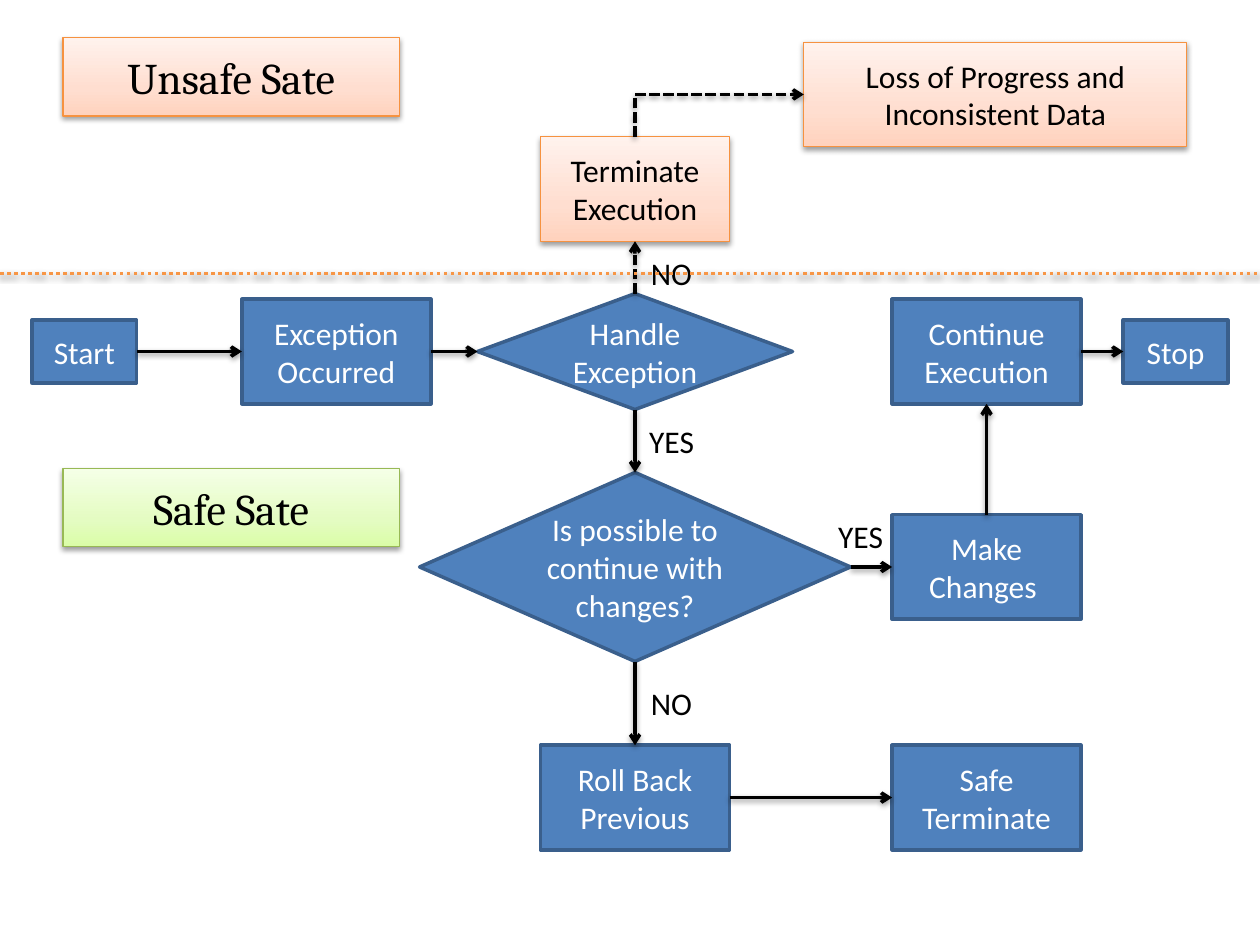
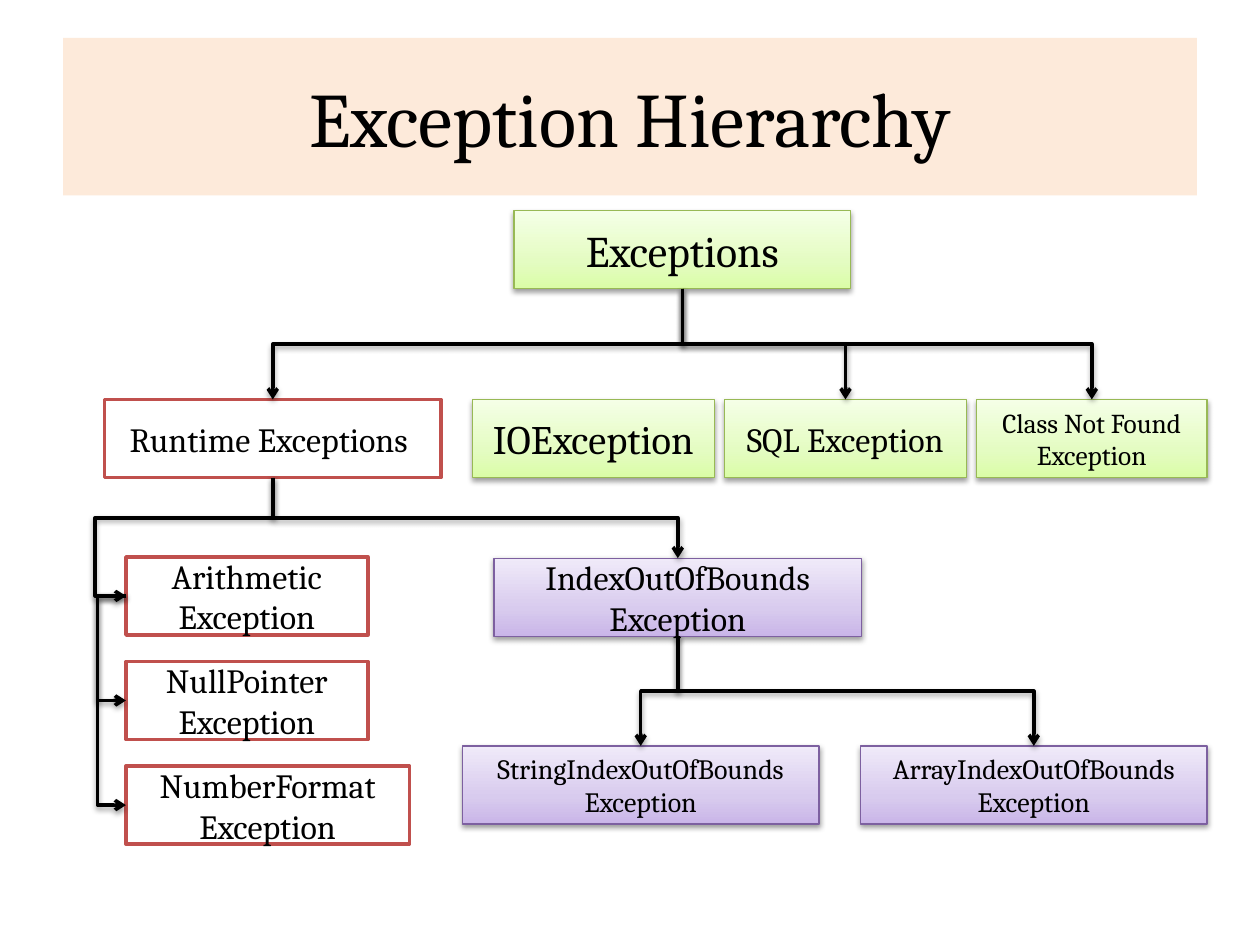
from lxml.etree import SubElement
from pptx import Presentation
from pptx.dml.color import RGBColor
from pptx.enum.dml import MSO_LINE
from pptx.enum.shapes import MSO_CONNECTOR, MSO_SHAPE
from pptx.enum.text import MSO_ANCHOR, MSO_AUTO_SIZE, PP_ALIGN
from pptx.oxml.ns import qn
from pptx.util import Emu, Inches, Pt

COLORS = {
    "black": "000000", "white": "FFFFFF", "title_band": "FDEADA",
    "blue": "4F81BD", "blue_line": "3A5F8C", "red_line": "C0504D",
    "orange_line": "F69240", "divider": "F79646",
    "green_line": "98B955", "purple_line": "7D60A0",
    "orange_dark": "FFD2BD", "orange_mid": "FFDED0", "orange_light": "FFF2ED",
    "green_dark": "DAFDA7", "green_mid": "E4FCC2", "green_light": "F5FFE7",
    "purple_dark": "C9B5E8", "purple_mid": "D8CBEE", "purple_light": "F0EAF9",
}
SOLID_STYLES = {
    "blue": ("blue", "blue_line", "white"),
    "red": ("white", "red_line", "black"),
}
TOP, LEFT, BOTTOM, RIGHT = range(4)
LABEL_SIZE = (2.67, 0.62)
STEP_SIZE = (1.5, 0.83)
END_SIZE = (0.83, 0.5)
MIN_EXTENT = 1588


def rgb(name):
    return RGBColor.from_string(COLORS[name])


def add_shadow(effects):
    shadow = SubElement(effects, qn("a:outerShdw"), blurRad="40000", dist="20000",
                        dir="5400000", rotWithShape="0")
    color = SubElement(shadow, qn("a:srgbClr"), val=COLORS["black"])
    SubElement(color, qn("a:alpha"), val="38000")


def paint_gradient(shape, family):
    shape.fill.gradient()
    shape.fill.gradient_angle = 90
    stops = next(shape._element.spPr.iter(qn("a:gsLst")))
    stops.clear()
    for position, tone in ((0, "dark"), (35, "mid"), (100, "light")):
        stop = SubElement(stops, qn("a:gs"), pos=str(position * 1000))
        SubElement(stop, qn("a:srgbClr"), val=COLORS[f"{family}_{tone}"])
    shape.line.color.rgb = rgb(f"{family}_line")
    shape.line.width = Pt(0.75)
    shape.shadow.inherit = False
    add_shadow(shape._element.spPr.find(qn("a:effectLst")))


def write_text(shape, text, font_name, size, color="black"):
    frame = shape.text_frame
    frame.text = text
    frame.word_wrap = True
    frame.auto_size = MSO_AUTO_SIZE.NONE
    frame.vertical_anchor = MSO_ANCHOR.MIDDLE
    paragraph = frame.paragraphs[0]
    paragraph.alignment = PP_ALIGN.CENTER
    paragraph.font.name = font_name
    paragraph.font.size = Pt(size)
    paragraph.font.color.rgb = rgb(color)


def place_title(slide, text, size, width, height):
    title = slide.shapes.title
    title.left, title.top = Inches(0.5), Inches(0.3)
    title.width, title.height = Inches(width), Inches(height)
    write_text(title, text, "Cambria", size)
    return title


def add_box(slide, text, left, top, size, style, font_size,
            font_name="Cambria", preset=MSO_SHAPE.RECTANGLE):
    box = slide.shapes.add_shape(preset, Inches(left), Inches(top),
                                 Inches(size[0]), Inches(size[1]))
    text_color = "black"
    if style in SOLID_STYLES:
        fill, line, text_color = SOLID_STYLES[style]
        box.fill.solid()
        box.fill.fore_color.rgb = rgb(fill)
        box.line.color.rgb = rgb(line)
        box.line.width = Pt(2)
        box.shadow.inherit = False
    else:
        paint_gradient(box, style)
    write_text(box, text, font_name, font_size, text_color)
    return box


def add_step(slide, text, center, size=STEP_SIZE, style="blue", preset=MSO_SHAPE.RECTANGLE):
    left, top = center[0] - size[0] / 2, center[1] - size[1] / 2
    return add_box(slide, text, left, top, size, style, 18, "Calibri", preset)


def add_branch_label(slide, text, center_x, center_y):
    width, height = END_SIZE
    label = slide.shapes.add_textbox(Inches(center_x - width / 2), Inches(center_y - height / 2),
                                     Inches(width), Inches(height))
    write_text(label, text, "Calibri", 18)


def style_line(connector, color="black", dash=None, arrow=True):
    connector.line.color.rgb = rgb(color)
    connector.line.width = Pt(2)
    if dash:
        connector.line.dash_style = dash
    properties = connector._element.spPr
    if arrow:
        SubElement(properties.find(qn("a:ln")), qn("a:tailEnd"), type="arrow")
    add_shadow(SubElement(properties, qn("a:effectLst")))


def join(slide, kind, start, start_side, end, end_side, dash=None):
    connector = slide.shapes.add_connector(kind, 0, 0, 0, 0)
    connector.begin_connect(start, start_side)
    connector.end_connect(end, end_side)
    style_line(connector, dash=dash)
    return connector


def add_arrow(slide, start, start_side, end, end_side, dash=None):
    join(slide, MSO_CONNECTOR.STRAIGHT, start, start_side, end, end_side, dash)


def add_elbow(slide, start, start_side, end, end_side, rotation,
              flips=(), guides=(), bends=3, dash=None):
    connector = join(slide, MSO_CONNECTOR.ELBOW, start, start_side, end, end_side, dash)
    width = abs(connector.end_x - connector.begin_x)
    height = abs(connector.end_y - connector.begin_y)
    center_x = (connector.begin_x + connector.end_x) // 2
    center_y = (connector.begin_y + connector.end_y) // 2
    if rotation in (90, 270):
        width, height = height, width
    width = max(width, MIN_EXTENT)
    connector.left, connector.top = Emu(center_x - width // 2), Emu(center_y - height // 2)
    connector.width, connector.height = Emu(width), Emu(height)
    frame = connector._element.spPr.find(qn("a:xfrm"))
    frame.set("rot", str(rotation * 60000))
    for flip in ("flipH", "flipV"):
        frame.set(flip, "1" if flip in flips else "0")
    geometry = connector._element.spPr.find(qn("a:prstGeom"))
    geometry.set("prst", f"bentConnector{bends}")
    adjustments = geometry.find(qn("a:avLst"))
    for number, ratio in enumerate(guides, 1):
        SubElement(adjustments, qn("a:gd"), name=f"adj{number}",
                   fmla=f"val {round(ratio * 100000)}")


def add_tree_branch(slide, parent, child):
    goes_left = child.left + child.width // 2 < parent.left + parent.width // 2
    rotation, flips = (90, ()) if goes_left else (270, ("flipH",))
    add_elbow(slide, parent, BOTTOM, child, TOP, rotation, flips, (0.5,))


def build_flowchart(slide):
    title = place_title(slide, "Unsafe Sate", 25, *LABEL_SIZE)
    paint_gradient(title, "orange")

    upper, middle, lower = 2.79, 4.5, 6.33
    decision_x, right_x = 5.04, 7.83
    start = add_step(slide, "Start", (0.67, upper), END_SIZE)
    occurred = add_step(slide, "Exception Occurred", (2.67, upper))
    terminate = add_step(slide, "Terminate Execution", (decision_x, 1.5), style="orange")
    loss = add_step(slide, "Loss of Progress and Inconsistent Data", (7.9, 0.75),
                    (3.04, 0.83), "orange")
    roll_back = add_step(slide, "Roll Back Previous", (decision_x, lower))
    resume = add_step(slide, "Continue Execution", (right_x, upper))
    safe_end = add_step(slide, "Safe Terminate", (right_x, lower))
    stop = add_step(slide, "Stop", (9.33, upper), END_SIZE)
    handle = add_step(slide, "Handle Exception", (decision_x, upper), (2.5, 0.92),
                      preset=MSO_SHAPE.DIAMOND)
    change = add_step(slide, "Make Changes ", (right_x, middle))
    possible = add_step(slide, "Is possible to continue with changes?",
                        (decision_x, middle), (3.42, 1.5), preset=MSO_SHAPE.DIAMOND)

    for source, target in ((start, occurred), (occurred, handle), (possible, change),
                           (resume, stop), (roll_back, safe_end)):
        add_arrow(slide, source, RIGHT, target, LEFT)
    for source, target in ((handle, possible), (possible, roll_back)):
        add_arrow(slide, source, BOTTOM, target, TOP)
    add_arrow(slide, change, TOP, resume, BOTTOM)
    add_arrow(slide, handle, TOP, terminate, BOTTOM, MSO_LINE.SQUARE_DOT)
    add_elbow(slide, terminate, TOP, loss, LEFT, 90, ("flipH", "flipV"),
              bends=2, dash=MSO_LINE.SQUARE_DOT)

    for text, center_x, center_y in (("YES", 5.33, 3.5), ("YES", 6.83, 4.25),
                                     ("NO", 5.33, 2.17), ("NO", 5.33, 5.58)):
        add_branch_label(slide, text, center_x, center_y)

    divider = slide.shapes.add_connector(MSO_CONNECTOR.STRAIGHT, 0, Inches(2.17),
                                         Inches(10), Inches(2.17))
    style_line(divider, "divider", MSO_LINE.ROUND_DOT, arrow=False)
    add_box(slide, "Safe Sate", 0.5, 3.72, LABEL_SIZE, "green", 25)


def build_hierarchy(slide):
    title = place_title(slide, "Exception Hierarchy", 44, 9, 1.25)
    title.fill.solid()
    title.fill.fore_color.rgb = rgb("title_band")

    height = LABEL_SIZE[1]
    root = add_box(slide, "Exceptions", 4.08, 1.67, LABEL_SIZE, "green", 25)
    runtime, _, sql, not_found = [
        add_box(slide, text, left, 3.17, (width, height), style, size)
        for text, left, width, style, size in (
            ("Runtime Exceptions ", 0.83, 2.67, "red", 19.4),
            ("IOException", 3.75, 1.92, "green", 23.1),
            ("SQL Exception", 5.75, 1.92, "green", 19.4),
            ("Class Not Found Exception", 7.75, 1.83, "green", 15.6))]
    arithmetic, null_pointer, number_format = [
        add_box(slide, f"{name} Exception", 1, 4.42 + 0.83 * row, (width, height), "red", 19.4)
        for row, (name, width) in enumerate(
            (("Arithmetic", 1.92), ("NullPointer", 1.92), ("NumberFormat", 2.25)))]
    bounds, array_bounds, string_bounds = [
        add_box(slide, f"{name} Exception", left, top, (width, height), "purple", size)
        for name, left, top, width, size in (
            ("IndexOutOfBounds", 3.92, 4.43, 2.92, 19.4),
            ("ArrayIndexOutOfBounds", 6.83, 5.92, 2.75, 16),
            ("StringIndexOutOfBounds", 3.67, 5.92, 2.83, 16))]

    for parent, children in ((root, (runtime, not_found, sql)), (runtime, (bounds,)),
                             (bounds, (string_bounds, array_bounds))):
        for child in children:
            add_tree_branch(slide, parent, child)
    add_elbow(slide, runtime, BOTTOM, arithmetic, LEFT, 90, guides=(0.34, 1.21), bends=4)
    for child in (null_pointer, number_format):
        add_elbow(slide, arithmetic, LEFT, child, LEFT, 180, ("flipV",),
                  (Inches(0.25) / MIN_EXTENT,))


def main():
    presentation = Presentation()
    presentation.slide_width, presentation.slide_height = Inches(10), Inches(7.5)
    title_only = presentation.slide_layouts[5]
    for build in (build_flowchart, build_hierarchy):
        build(presentation.slides.add_slide(title_only))
    presentation.save("out.pptx")


if __name__ == "__main__":
    main()
